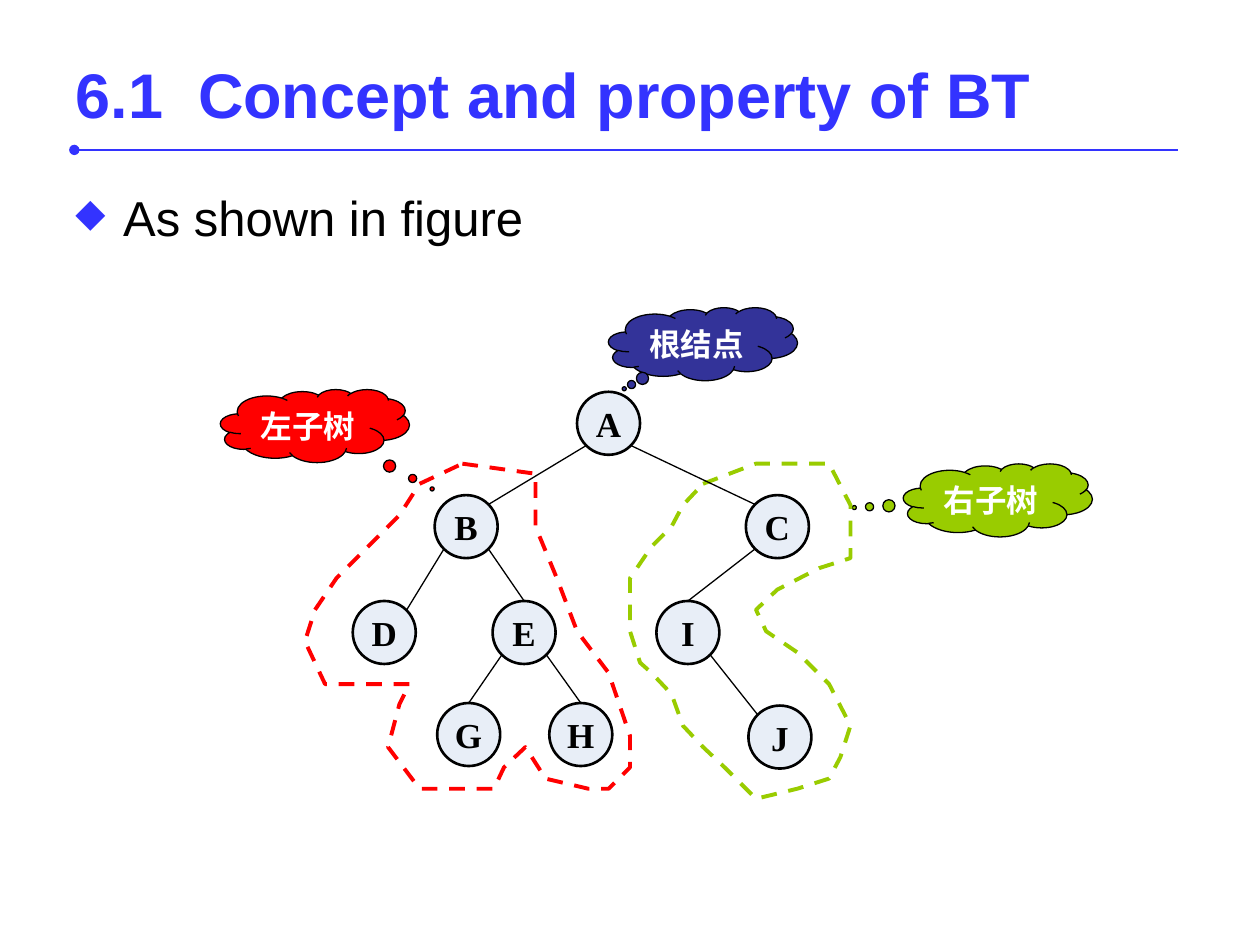
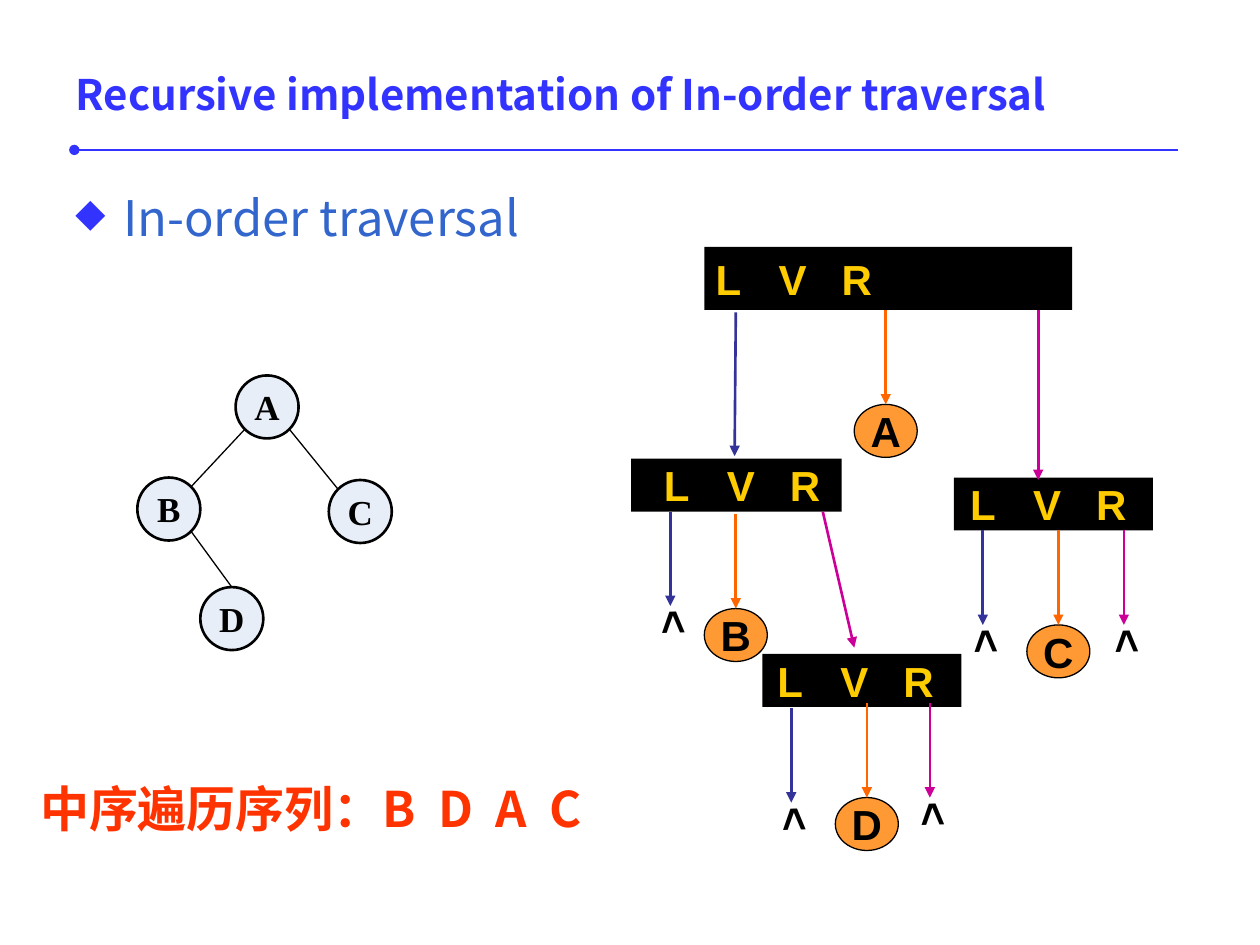
"""Build two slides on binary trees: subtrees and in-order traversal."""
from lxml import etree
from pptx import Presentation
from pptx.dml.color import RGBColor
from pptx.enum.dml import MSO_LINE
from pptx.enum.shapes import MSO_CONNECTOR, MSO_SHAPE
from pptx.enum.text import MSO_ANCHOR, MSO_AUTO_SIZE, PP_ALIGN
from pptx.oxml.ns import qn
from pptx.util import Inches, Pt

LINE = MSO_CONNECTOR.STRAIGHT
OVAL, RECT, CLOUD = MSO_SHAPE.OVAL, MSO_SHAPE.RECTANGLE, MSO_SHAPE.CLOUD_CALLOUT
TOP, MIDDLE = MSO_ANCHOR.TOP, MSO_ANCHOR.MIDDLE
LEFT, CENTER = PP_ALIGN.LEFT, PP_ALIGN.CENTER
DASH = MSO_LINE.DASH

BLACK, WHITE = RGBColor(0, 0, 0), RGBColor(255, 255, 255)
BLUE, SKY = RGBColor(0x33, 0x33, 0xFF), RGBColor(0x33, 0x66, 0xCC)
NAVY, PALE = RGBColor(0x33, 0x33, 0x99), RGBColor(0xE8, 0xEE, 0xF7)
RED, LIME = RGBColor(0xFF, 0, 0), RGBColor(0x99, 0xCC, 0)
GOLD, PEACH = RGBColor(0xFF, 0xCC, 0), RGBColor(0xFF, 0x99, 0x33)
AMBER, PLUM = RGBColor(0xFF, 0x66, 0), RGBColor(0xCC, 0, 0x99)
FLAME = RGBColor(0xFF, 0x33, 0)

SANS, SERIF, HAN, CABIN = "Arial", "Times New Roman", "Noto Sans CJK SC", "Cabin"
NODE, NEAR, FAR = 0.5, 0.15, 0.85
DROP, LEAF = 0.75, 0.42

CONCEPT = {
    "title": ("6.1  Concept and property of BT", SANS, 36),
    "point": ("As shown in figure", SANS, BLACK),
    "nodes": {"A": (4.58, 3.11), "B": (3.45, 3.93), "C": (5.92, 3.93),
              "D": (2.8, 4.77), "E": (3.91, 4.77), "I": (5.21, 4.77),
              "G": (3.47, 5.58), "H": (4.36, 5.58), "J": (5.94, 5.6)},
    "edges": [("AB", FAR), ("AC", NEAR), ("BD", FAR), ("BE", 0.5),
              ("EG", 0.5), ("EH", 0.5), ("CI", 0.5), ("IJ", NEAR)],
}
CLOUDS = [
    ("根结点", 4.83, 2.44, NAVY, (-0.417, 0.613)),
    ("左子树", 1.75, 3.09, RED, (0.62, 0.863)),
    ("右子树", 7.17, 3.68, LIME, (-0.76, 0.101)),
]
RINGS = [
    (RED, [(367, 368), (425, 376), (425, 418), (442, 459), (458, 501), (483, 534),
           (500, 584), (500, 609), (483, 626), (467, 626), (433, 618), (417, 593),
           (400, 609), (392, 626), (375, 626), (333, 626), (308, 593), (317, 559),
           (325, 543), (300, 543), (283, 543), (258, 543), (242, 509), (250, 484),
           (267, 459), (283, 443), (292, 434), (317, 409), (333, 384)]),
    (LIME, [(558, 384), (600, 368), (658, 368), (675, 401), (675, 443), (650, 451),
            (617, 468), (600, 484), (608, 501), (633, 518), (658, 543), (675, 576),
            (667, 601), (658, 618), (633, 626), (600, 634), (575, 609), (558, 593),
            (542, 576), (533, 551), (517, 534), (508, 526), (500, 501), (500, 459),
            (517, 434), (533, 418), (542, 401)]),
]

ORDER = {
    "title": ("Recursive implementation of In-order traversal", HAN, 24),
    "point": ("In-order traversal", HAN, SKY),
    "nodes": {"A": (1.87, 2.98), "B": (1.09, 3.79), "C": (2.61, 3.81),
              "D": (1.59, 4.66)},
    "edges": [("AB", FAR), ("AC", NEAR), ("BD", 0.5)],
}
BARS = [
    ((5.59, 1.96, 2.92, 0.5), (0.09, 1.24, 2.54)),
    ((5.01, 3.64, 1.67, 0.42), (0.26, 0.65, 1.14)),
    ((6.05, 5.19, 1.58, 0.42), (0.12, 0.7, 1.2)),
    ((7.57, 3.79, 1.58, 0.42), (0.13, 0.71, 1.19)),
]
CALLS = [
    (NAVY, 5.84, 2.48, 5.83, 3.62),
    (PLUM, 6.53, 4.06, 6.78, 5.14),
    (PLUM, 8.24, 2.46, 8.24, 3.81),
]
VISITS = [("A", 7.03, 2.46), ("B", 5.84, 4.08), ("C", 8.4, 4.21), ("D", 6.88, 5.58)]
STOPS = [(NAVY, 5.32, 4.06), (NAVY, 6.28, 5.62), (PLUM, 7.38, 5.58),
         (NAVY, 7.8, 4.21), (PLUM, 8.92, 4.21)]
RESULT = "中序遍历序列：B  D  A  C"


def write(shape, text, face, size, color, bold=True, align=CENTER,
          anchor=MIDDLE, wrap=False):
    frame = shape.text_frame
    frame.text = text
    frame.auto_size = MSO_AUTO_SIZE.NONE
    frame.word_wrap, frame.vertical_anchor = wrap, anchor
    para = frame.paragraphs[0]
    para.alignment = align
    font = para.font
    font.name, font.size, font.bold = face, Pt(size), bold
    font.color.rgb = color
    return para


def draw(slide, kind, box, fill, width=0.75):
    shape = slide.shapes.add_shape(kind, *map(Inches, box))
    shape.shadow.inherit = False
    shape.fill.solid()
    shape.fill.fore_color.rgb = fill
    if width:
        shape.line.color.rgb = BLACK
        shape.line.width = Pt(width)
    else:
        shape.line.fill.background()
    return shape


def link(slide, ends, color=BLACK, width=0.75, **tips):
    line = slide.shapes.add_connector(LINE, *map(Inches, ends))
    line.line.color.rgb = color
    line.line.width = Pt(width)
    for tip, kind in tips.items():
        etree.SubElement(line.line._get_or_add_ln(), qn(f"a:{tip}"), type=kind)
    etree.SubElement(line._element.spPr, qn("a:effectLst"))
    return line


def arrow(slide, color, *ends):
    return link(slide, ends, color, 1.5, tailEnd="triangle")


def label(slide, box, text, face, size, color, **style):
    shape = slide.shapes.add_textbox(*map(Inches, box))
    para = write(shape, text, face, size, color, align=LEFT, anchor=TOP, **style)
    return shape, para


def bullet(para):
    props = para._p.get_or_add_pPr()
    props.set("marL", str(Inches(0.38)))
    props.set("indent", str(-Inches(0.38)))
    tint = etree.Element(qn("a:buClr"))
    etree.SubElement(tint, qn("a:srgbClr"), val=str(BLUE))
    size = etree.Element(qn("a:buSzPct"), val="80000")
    mark = etree.Element(qn("a:buChar"), char="◆")
    for spot, part in enumerate((tint, size, mark)):
        props.insert(spot, part)


def start(deck, data):
    slide = deck.slides.add_slide(deck.slide_layouts[5])
    title = slide.shapes.title
    title.left, title.top, title.width, title.height = map(Inches, (0.5, 0.3, 9, 0.88))
    text, face, size = data["title"]
    write(title, text, face, size, BLUE, align=LEFT, wrap=True)
    link(slide, (0.59, 1.19, 9.35, 1.19), BLUE, 1.5, headEnd="oval")
    text, face, color = data["point"]
    _, para = label(slide, (0.5, 1.44, 9, 0.55), text, face, 28, color,
                    bold=False, wrap=True)
    bullet(para)
    return slide


def tree(slide, data):
    nodes = data["nodes"]
    for name, (x, y) in nodes.items():
        node = draw(slide, OVAL, (x, y, NODE, NODE), PALE, 1.5)
        write(node, name, SERIF, 20, BLACK)
    for (top, low), share in data["edges"]:
        (x, y), (u, v) = nodes[top], nodes[low]
        side = FAR if u > x else NEAR
        drop = 0 if share == 0.5 else NEAR
        link(slide, (x + side * NODE, y + FAR * NODE,
                     u + share * NODE, v + drop * NODE))


def concept(deck):
    slide = start(deck, CONCEPT)
    for text, x, y, fill, tip in CLOUDS:
        cloud = draw(slide, CLOUD, (x, y, 1.5, 0.58), fill)
        cloud.adjustments[0], cloud.adjustments[1] = tip
        write(cloud, text, CABIN, 18, WHITE, anchor=TOP, wrap=True)
    for color, spots in RINGS:
        path = slide.shapes.build_freeform(*spots[0], scale=Inches(0.01))
        path.add_line_segments(spots[1:], close=True)
        ring = path.convert_to_shape()
        ring.shadow.inherit = False
        ring.fill.background()
        ring.line.color.rgb = color
        ring.line.width, ring.line.dash_style = Pt(2.25), DASH
    tree(slide, CONCEPT)


def order(deck):
    slide = start(deck, ORDER)
    for box, (first, *rest) in BARS:
        bar = draw(slide, RECT, box, BLACK, 0)
        frame = bar.text_frame
        frame.margin_left, frame.margin_right = Inches(first), 0
        frame.text = "L\tV\tR"
        props = frame.paragraphs[0]._p.get_or_add_pPr()
        tabs = etree.SubElement(props, qn("a:tabLst"))
        for stop in rest:
            etree.SubElement(tabs, qn("a:tab"), pos=str(Inches(stop - first)), algn="l")
        write(bar, "L\tV\tR", SANS, 24, GOLD, align=LEFT, wrap=True)
    for call in CALLS:
        arrow(slide, *call)
    for name, x, y in VISITS:
        leaf = draw(slide, OVAL, (x - NODE / 2, y + DROP, NODE, LEAF), PEACH)
        write(leaf, name, SANS, 24, BLACK)
        arrow(slide, AMBER, x, y, x, y + DROP).end_connect(leaf, 0)
    for color, x, y in STOPS:
        mark, _ = label(slide, (x - LEAF / 2, y + 0.62, LEAF, 0.5), ">",
                        SANS, 24, BLACK, wrap=True)
        mark.rotation = 268.3
        arrow(slide, color, x, y, x, y + DROP)
    tree(slide, ORDER)
    label(slide, (0.22, 6.13, 5.35, 0.57), RESULT, HAN, 28, FLAME)


def main():
    deck = Presentation()
    deck.slide_width, deck.slide_height = Inches(10), Inches(7.5)
    concept(deck)
    order(deck)
    deck.save("out.pptx")


if __name__ == "__main__":
    main()
